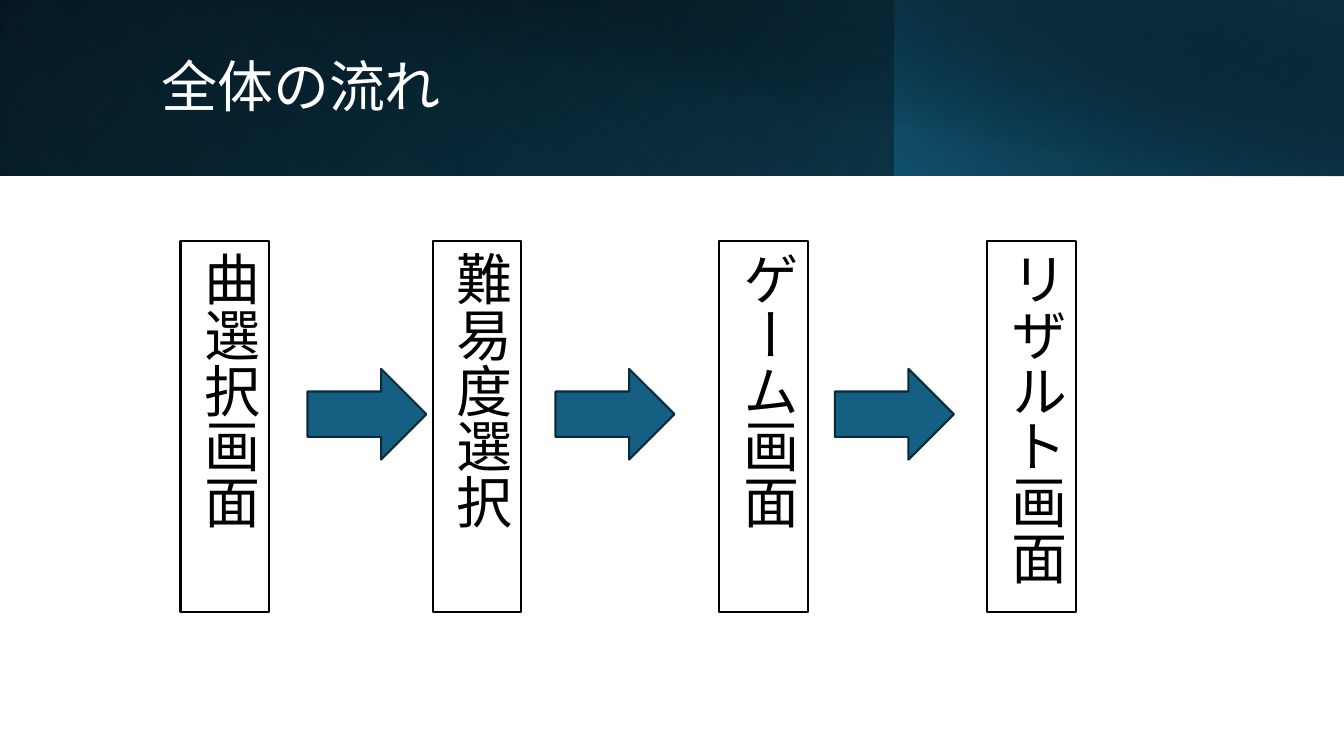
from lxml import etree
from pptx import Presentation
from pptx.dml.color import RGBColor
from pptx.enum import shapes, text
from pptx.oxml import parse_xml
from pptx.oxml.ns import nsdecls, qn
from pptx.util import Inches, Pt

FONT = "Noto Sans CJK JP"
WHITE = RGBColor(0xFF, 0xFF, 0xFF)
BLACK = RGBColor(0x00, 0x00, 0x00)
BLUE = RGBColor(0x15, 0x60, 0x82)
MID_BLUE = RGBColor(0x10, 0x48, 0x62)
DARK_BLUE = RGBColor(0x0B, 0x30, 0x41)
ARROW_EDGE = RGBColor(0x09, 0x2A, 0x39)

BAND_H = 1.74
BOX_TOP, BOX_W, BOX_H = 2.39, 0.88, 3.68
ARROW_TOP, ARROW_W, ARROW_H = 3.66, 1.18, 0.9

# Header layers: left, width, height, rotation, flipped, angle,
# stops as (position %, colour, opacity %)
HEADER = [
    (0, 13.33, BAND_H, 0, True, 140, [(0, BLACK, 100), (100, MID_BLUE, 100)]),
    (0, 8.88, BAND_H, 180, True, 230, [(20, BLUE, 0), (100, DARK_BLUE, 55)]),
    (8.87, 4.46, BAND_H, 0, True, 220, [(0, BLUE, 66), (100, BLACK, 30)]),
    (0.5, 12.83, 1.75, 0, False, 280, [(50, BLACK, 0), (99, DARK_BLUE, 52)]),
]
SCREENS = [(1.79, "曲選択画面"), (4.29, "難易度選択"),
           (7.13, "ゲーム画面"), (9.79, "リザルト画面")]
ARROWS = [3.05, 5.51, 8.28]


def add_preset(s, kind, left, top, width, height):
    sp = s.shapes.add_shape(kind, Inches(left), Inches(top), Inches(width), Inches(height))
    sp.shadow.inherit = False
    return sp


def add_header_layer(s, left, width, height, rotation, flipped, angle, stops):
    sp = add_preset(s, shapes.MSO_SHAPE.RECTANGLE, left, 0, width, height)
    sp.rotation = rotation
    sp.line.fill.background()
    spPr = sp._element.spPr
    if flipped:
        spPr.xfrm.set("flipH", "1")
    # Gradient with transparency
    gs = "".join(
        f'<a:gs pos="{pos * 1000}"><a:srgbClr val="{color}">'
        f'<a:alpha val="{opacity * 1000}"/></a:srgbClr></a:gs>'
        for pos, color, opacity in stops)
    spPr.find(qn("a:prstGeom")).addnext(parse_xml(
        f'<a:gradFill {nsdecls("a")}><a:gsLst>{gs}</a:gsLst>'
        f'<a:lin ang="{angle * 60000}" scaled="0"/></a:gradFill>'))


def add_text(s, left, top, width, height, words, color):
    sp = s.shapes.add_textbox(Inches(left), Inches(top), Inches(width), Inches(height))
    tf = sp.text_frame
    tf.word_wrap = True
    p = tf.paragraphs[0]
    p.text = words
    p.font.size = Pt(40)
    p.font.color.rgb = color
    p.font.name = FONT
    etree.SubElement(p.font._element, qn("a:ea"), typeface=FONT)
    return sp


def add_title(s, words):
    tf = add_text(s, 1.5, 0.32, 10.82, 1.13, words, WHITE).text_frame
    tf.vertical_anchor = text.MSO_ANCHOR.MIDDLE
    tf.paragraphs[0].line_spacing = 0.9


def add_screen(s, left, words):
    sp = add_text(s, left, BOX_TOP, BOX_W, BOX_H, words, BLACK)
    sp.fill.solid()
    sp.fill.fore_color.rgb = WHITE
    sp.line.color.rgb = BLACK
    sp.line.width = Pt(1.5)
    sp.text_frame.auto_size = text.MSO_AUTO_SIZE.SHAPE_TO_FIT_TEXT
    sp.text_frame._txBody.bodyPr.set("vert", "eaVert")


def add_arrow(s, left):
    sp = add_preset(s, shapes.MSO_SHAPE.RIGHT_ARROW, left, ARROW_TOP, ARROW_W, ARROW_H)
    sp.fill.solid()
    sp.fill.fore_color.rgb = BLUE
    sp.line.color.rgb = ARROW_EDGE
    sp.line.width = Pt(1.5)


def main():
    prs = Presentation()
    prs.slide_width, prs.slide_height = Inches(13.33), Inches(7.5)
    s = prs.slides.add_slide(prs.slide_layouts[6])

    # Header band and title
    for layer in HEADER:
        add_header_layer(s, *layer)
    add_title(s, "全体の流れ")

    # Screen flow
    for left, words in SCREENS:
        add_screen(s, left, words)
    for left in ARROWS:
        add_arrow(s, left)

    prs.save("out.pptx")


if __name__ == "__main__":
    main()
